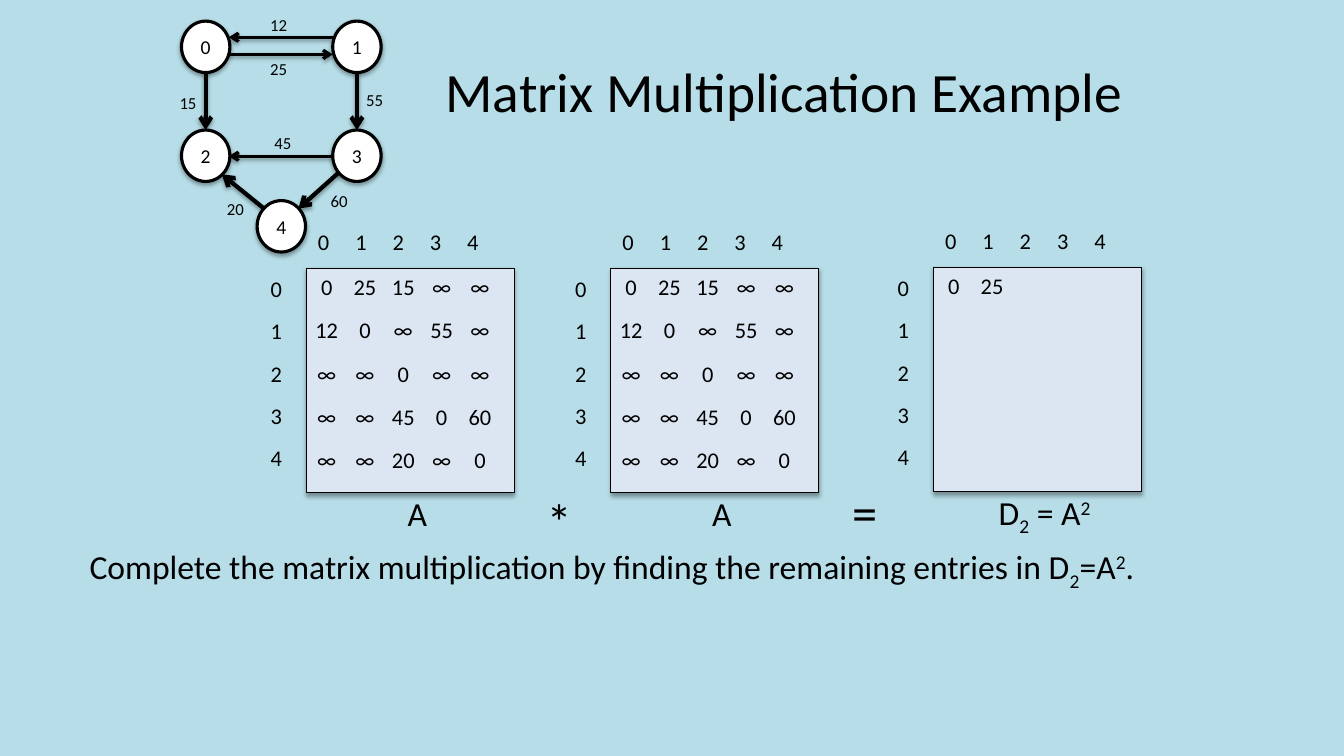
from lxml import etree
from pptx import Presentation
from pptx.dml.color import RGBColor
from pptx.enum.shapes import MSO_CONNECTOR, MSO_SHAPE
from pptx.enum.text import MSO_ANCHOR, PP_ALIGN
from pptx.oxml.ns import qn
from pptx.util import Inches, Pt

LEFT, CENTER = PP_ALIGN.LEFT, PP_ALIGN.CENTER
TOP, MIDDLE = MSO_ANCHOR.TOP, MSO_ANCHOR.MIDDLE
OVAL, RECT = MSO_SHAPE.OVAL, MSO_SHAPE.RECTANGLE
STRAIGHT = MSO_CONNECTOR.STRAIGHT

BLACK = RGBColor(0x00, 0x00, 0x00)
WHITE = RGBColor(0xFF, 0xFF, 0xFF)
SKY = RGBColor(0xB7, 0xDE, 0xE8)
PALE = RGBColor(0xDC, 0xE6, 0xF2)
FONT = "Calibri"
SUB, SUPER = -25000, 30000

NODE_W, NODE_H = 0.48, 0.51
NODES = {"0": (0, 0), "1": (1.5, 0), "2": (0, 1.08), "3": (1.5, 1.08), "4": (0.75, 1.78)}
# start, end, line width, weight, left and top of the weight
EDGES = [
    ((1.5, 0.16), (0.47, 0.16), 2.25, "12", (0.78, -0.11)),
    ((0.47, 0.33), (1.5, 0.33), 2.25, "25", (0.78, 0.32)),
    ((0.24, 0.25), (0.24, 1.08), 3, "15", (-0.12, 0.66)),
    ((1.74, 0.25), (1.74, 1.08), 3, "55", (1.73, 0.63)),
    ((1.5, 1.34), (0.47, 1.34), 2.25, "45", (0.82, 1.06)),
    ((1.73, 1.35), (1.16, 1.86), 3, "60", (1.38, 1.63)),
    ((0.82, 1.86), (0.4, 1.52), 3, "20", (0.35, 1.71)),
]

INDEX = "0 1 2 3 4".split()
COSTS = [
    "0 25 15 ∞ ∞".split(),
    "12 0 ∞ 55 ∞".split(),
    "∞ ∞ 0 ∞ ∞".split(),
    "∞ ∞ 45 0 60".split(),
    "∞ ∞ 20 ∞ 0".split(),
]
MAT_W, MAT_H = 2.06, 2.23


def add_runs(para, parts, size):
    """Add (text, baseline) parts as runs."""
    for text, base in parts:
        run = para.add_run()
        run.text = text
        font = run.font
        font.name, font.size = FONT, Pt(size)
        font.color.rgb = BLACK
        if base:
            run._r.get_or_add_rPr().set("baseline", str(base))


def add_text(shapes, box, parts, size, align=CENTER, anchor=TOP, inset=0, tabs=()):
    area = shapes.add_textbox(*map(Inches, box))
    frame = area.text_frame
    frame.word_wrap = True
    frame.vertical_anchor = anchor
    frame.margin_left = frame.margin_right = Inches(inset)
    para = frame.paragraphs[0]
    para.alignment = align
    if tabs:
        stops = etree.SubElement(para._p.get_or_add_pPr(), qn("a:tabLst"))
        for pos in tabs:
            etree.SubElement(stops, qn("a:tab"), pos=str(Inches(pos)), algn="ctr")
    add_runs(para, parts, size)


def add_shadow(shape, dist, alpha):
    effects = etree.SubElement(shape._element.spPr, qn("a:effectLst"))
    outer = etree.SubElement(effects, qn("a:outerShdw"), blurRad=str(Pt(3.1)),
                             dist=str(Pt(dist)), dir="5400000", rotWithShape="0")
    color = etree.SubElement(outer, qn("a:srgbClr"), val=str(BLACK))
    etree.SubElement(color, qn("a:alpha"), val=str(alpha * 1000))


def add_block(shapes, kind, box, fill, width):
    shape = shapes.add_shape(kind, *map(Inches, box))
    shape.fill.solid()
    shape.fill.fore_color.rgb = fill
    shape.line.color.rgb = BLACK
    shape.line.width = Pt(width)
    add_shadow(shape, 1.8, 35)
    return shape


def add_arrow(shapes, start, end, width):
    arrow = shapes.add_connector(STRAIGHT, *map(Inches, start + end))
    arrow.line.color.rgb = BLACK
    arrow.line.width = Pt(width)
    etree.SubElement(arrow.line._get_or_add_ln(), qn("a:tailEnd"), type="arrow")
    add_shadow(arrow, 1.6, 38)


def add_graph(slide, left, top):
    shapes = slide.shapes.add_group_shape().shapes

    def place(point):
        return left + point[0], top + point[1]

    for start, end, width, weight, spot in EDGES:
        add_arrow(shapes, place(start), place(end), width)
        add_text(shapes, (*place(spot), 0.37, 0.3), [(weight, 0)], 12)
    for name, spot in NODES.items():
        node = add_block(shapes, OVAL, (*place(spot), NODE_W, NODE_H), WHITE, 2.25)
        frame = node.text_frame
        frame.margin_left = frame.margin_right = 0
        frame.vertical_anchor = MIDDLE
        frame.paragraphs[0].alignment = CENTER
        add_runs(frame.paragraphs[0], [(name, 0)], 14)


def add_row(shapes, left, top, cells, first, step):
    """Set the cells of one matrix row on evenly spaced centre tabs."""
    tabs = [first + step * col for col in range(len(cells))]
    line = "".join("\t" + cell for cell in cells)
    add_text(shapes, (left, top, MAT_W, 0.37), [(line, 0)], 16, LEFT, tabs=tabs)


def add_matrix(slide, left, top, rows, caption):
    shapes = slide.shapes.add_group_shape().shapes
    add_block(shapes, RECT, (left, top, MAT_W, MAT_H), PALE, 0.75)
    add_row(shapes, left, top - 0.45, INDEX, 0.17, 0.37)
    for num, name in enumerate(INDEX):
        box = (left - 0.46, top + 0.02 + 0.42 * num, 0.32, 0.37)
        add_text(shapes, box, [(name, 0)], 16)
    for num, cells in enumerate(rows):
        add_row(shapes, left, top + 0.43 * num, cells, 0.2, 0.38)
    add_text(shapes, (left, top + 2.18, 2.2, 0.5), caption, 24)


def add_product(slide, top):
    square = [("D", 0), ("2", SUB), (" = A", 0), ("2", SUPER)]
    add_matrix(slide, 3.04, top, COSTS, [("A", 0)])
    add_text(slide.shapes, (5.32, top + 2.15, 0.45, 0.71), [("*", 0)], 36)
    add_matrix(slide, 6.06, top, COSTS, [("A", 0)])
    add_text(slide.shapes, (8.35, top + 2.06, 0.45, 0.71), [("=", 0)], 36)
    add_matrix(slide, 9.26, top - 0.01, [["0", "25"]], square)


def main():
    deck = Presentation()
    deck.slide_width, deck.slide_height = Inches(13.33), Inches(7.5)
    slide = deck.slides.add_slide(deck.slide_layouts[6])
    fill = slide.background.fill
    fill.solid()
    fill.fore_color.rgb = SKY

    add_text(slide.shapes, (4.13, 0.4, 7.29, 0.99),
             [("Matrix Multiplication Example", 0)], 39.6, anchor=MIDDLE, inset=0.1)
    task = [
        ("Complete the matrix multiplication by finding the remaining entries in D", 0),
        ("2", SUB), ("=A", 0), ("2", SUPER), (".", 0),
    ]
    add_text(slide.shapes, (0.79, 5.37, 12, 1.85), task, 24, LEFT, inset=0.1)
    add_graph(slide, 1.8, 0.21)
    add_product(slide, 2.66)
    deck.save("out.pptx")


if __name__ == "__main__":
    main()
